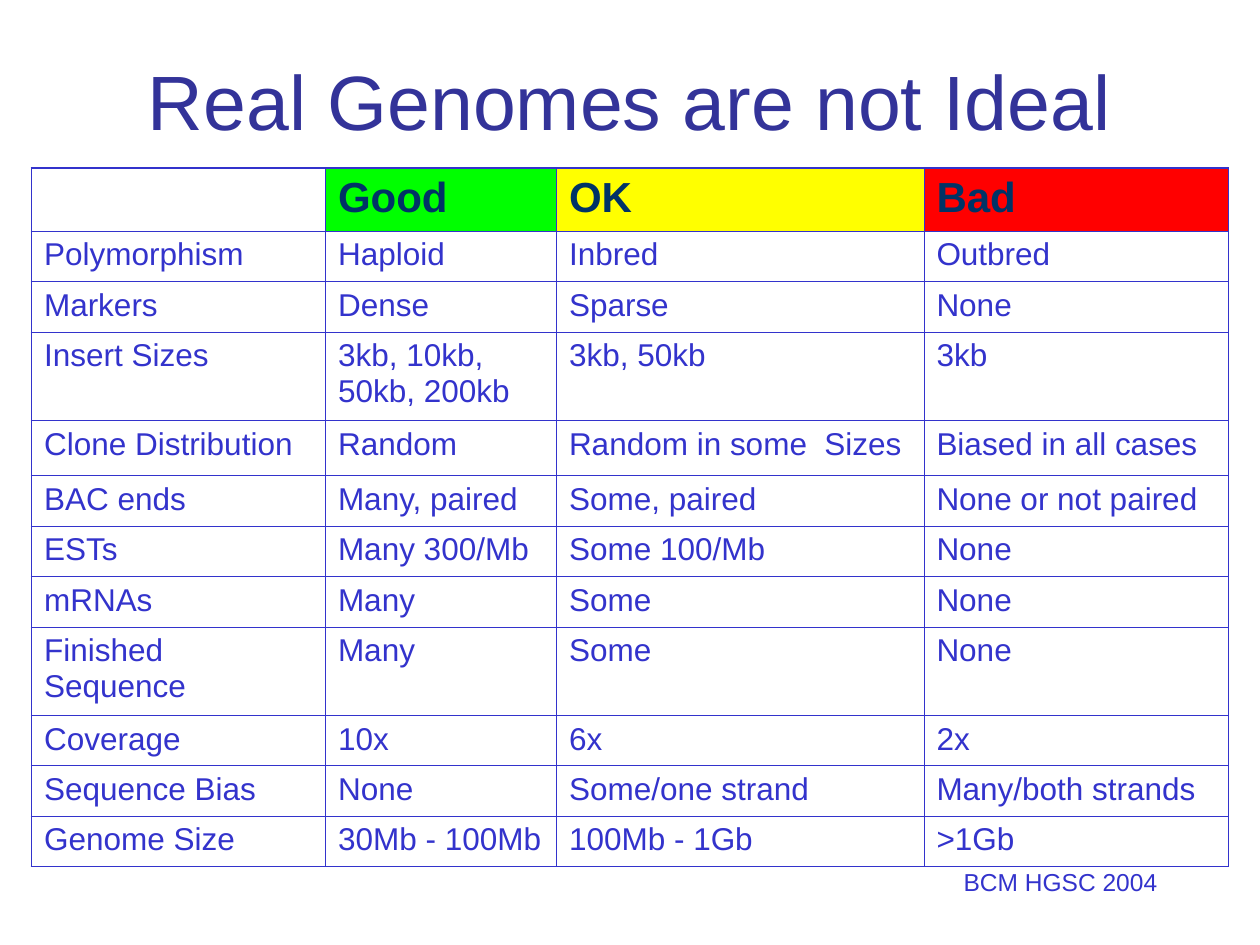
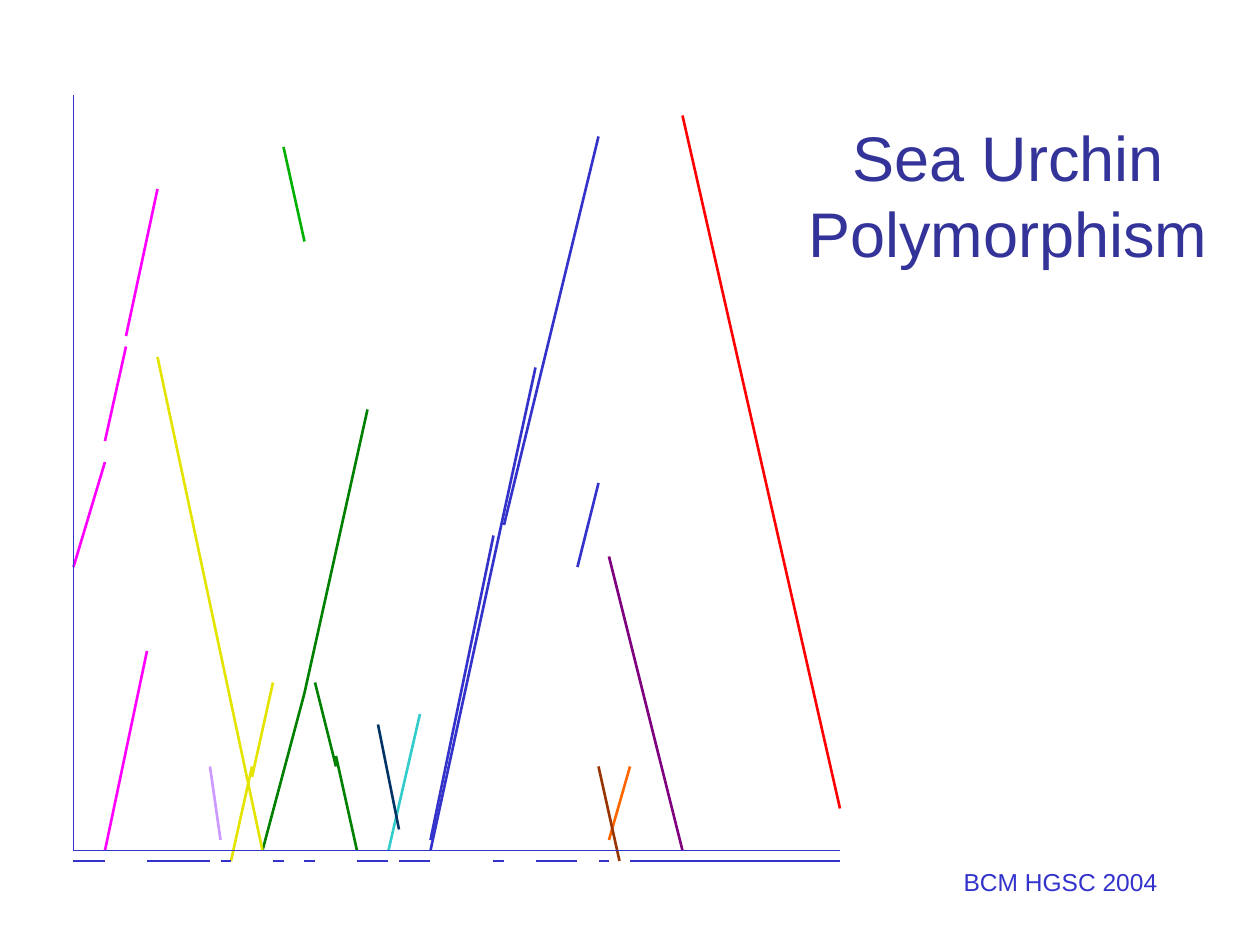
from lxml.etree import SubElement
from pptx import Presentation
from pptx.dml.color import RGBColor
from pptx.enum.shapes import MSO_CONNECTOR
from pptx.enum.text import MSO_ANCHOR, PP_ALIGN
from pptx.oxml.ns import qn
from pptx.util import Inches, Pt

# Every place and length is counted in cells of a 120 x 90 grid
COLS, ROWS = 120, 90
UNIT = Inches(10) // COLS

FONT = "Arial"
TITLE = RGBColor(0x33, 0x33, 0x99)
BLUE = RGBColor(0x33, 0x33, 0xCC)
NAVY = RGBColor(0x00, 0x33, 0x66)
LIME = RGBColor(0x00, 0xFF, 0x00)
YELLOW = RGBColor(0xFF, 0xFF, 0x00)
RED = RGBColor(0xFF, 0x00, 0x00)
MAGENTA = RGBColor(0xFF, 0x00, 0xFF)
MUSTARD = RGBColor(0xE4, 0xE4, 0x00)
GREEN = RGBColor(0x00, 0x80, 0x00)
LEAF = RGBColor(0x00, 0xB0, 0x00)
TEAL = RGBColor(0x33, 0xCC, 0xCC)
ORANGE = RGBColor(0xFF, 0x66, 0x00)
PURPLE = RGBColor(0x80, 0x00, 0x80)
BROWN = RGBColor(0x99, 0x33, 0x00)
LILAC = RGBColor(0xCC, 0x99, 0xFF)

FOOTER = "BCM HGSC 2004"

GRADES = [("", None), ("Good", LIME), ("OK", YELLOW), ("Bad", RED)]
FEATURES = [
    ("Polymorphism", "Haploid", "Inbred", "Outbred"),
    ("Markers", "Dense", "Sparse", "None"),
    ("Insert Sizes", "3kb, 10kb, 50kb, 200kb", "3kb, 50kb", "3kb"),
    ("Clone Distribution", "Random", "Random in some  Sizes", "Biased in all cases"),
    ("BAC ends", "Many, paired", "Some, paired", "None or not paired"),
    ("ESTs", "Many 300/Mb", "Some 100/Mb", "None"),
    ("mRNAs", "Many", "Some", "None"),
    ("Finished Sequence", "Many", "Some", "None"),
    ("Coverage", "10x", "6x", "2x"),
    ("Sequence Bias", "None", "Some/one strand", "Many/both strands"),
    ("Genome Size", "30Mb - 100Mb", "100Mb - 1Gb", ">1Gb"),
]
COL_WIDTHS = [28, 22, 35, 29]
ROW_HEIGHT, HEADER_HEIGHT = 0.4, 0.5
TALL_ROWS = {"Insert Sizes": 0.7, "Finished Sequence": 0.7, "Clone Distribution": 0.44}

LEFT, RIGHT, TOP, BASE = 7, 80, 9, 81
# (colour, [(x1, y1, x2, y2), ...])
MATCHES = [
    (MAGENTA, [(10, 42, 12, 33), (12, 32, 15, 18), (7, 54, 10, 44), (10, 81, 14, 62)]),
    (MUSTARD, [(22, 82, 24, 73), (24, 74, 26, 65)]),
    (GREEN, [(25, 81, 29, 66), (29, 66, 35, 39)]),
    (BLUE, [(48, 50, 57, 13), (41, 81, 51, 35), (41, 80, 47, 51), (55, 54, 57, 46)]),
    (TEAL, [(37, 81, 40, 68)]),
    (ORANGE, [(58, 80, 60, 73)]),
    (PURPLE, [(65, 81, 58, 53)]),
    (RED, [(80, 77, 65, 11)]),
    (BROWN, [(59, 82, 57, 73)]),
    (NAVY, [(38, 79, 36, 69)]),
    (LILAC, [(21, 80, 20, 73)]),
    (GREEN, [(34, 81, 32, 72), (32, 73, 30, 65)]),
    (MUSTARD, [(25, 81, 15, 34)]),
    (LEAF, [(27, 14, 29, 23)]),
]
AXES = [(LEFT, BASE, RIGHT, BASE), (LEFT, TOP, LEFT, BASE)]
UNMATCHED = [(7, 10), (14, 20), (21, 22), (26, 27), (29, 30), (34, 37),
             (38, 41), (47, 48), (51, 55), (57, 58), (60, 80)]


def grid(*cells):
    return [c * UNIT for c in cells]


def style(p, size, color, bold=False):
    for r in p.runs:
        r.font.name, r.font.size, r.font.bold = FONT, Pt(size), bold
        r.font.color.rgb = color


def add_text(s, box, text, size, color, anchor=MSO_ANCHOR.TOP):
    tf = s.shapes.add_textbox(*grid(*box)).text_frame
    tf.word_wrap = True
    tf.vertical_anchor = anchor
    p = tf.paragraphs[0]
    p.text = text
    p.alignment = PP_ALIGN.CENTER
    style(p, size, color)


def add_slide(prs, title, box, size):
    """Blank slide with the shared title style and footer."""
    s = prs.slides.add_slide(prs.slide_layouts[6])
    add_text(s, box, title, size, TITLE, MSO_ANCHOR.MIDDLE)
    add_text(s, (82, 82, 38, 6), FOOTER, 14, BLUE)
    return s


def add_border(cell, side, width):
    ln = SubElement(cell._tc.get_or_add_tcPr(), qn(f"a:ln{side}"), w=str(Pt(width)))
    fill = SubElement(ln, qn("a:solidFill"))
    SubElement(fill, qn("a:srgbClr"), val=str(BLUE))


def add_features(s):
    rows = [[name for name, _ in GRADES], *FEATURES]
    heights = [HEADER_HEIGHT] + [TALL_ROWS.get(f[0], ROW_HEIGHT) for f in FEATURES]
    last_row, last_col = len(rows) - 1, len(GRADES) - 1
    table = s.shapes.add_table(len(rows), len(GRADES), *grid(3, 16, sum(COL_WIDTHS)),
                               Inches(sum(heights))).table
    table.first_row = table.horz_banding = False
    for col, width in zip(table.columns, COL_WIDTHS):
        col.width = width * UNIT
    for i, (row, height) in enumerate(zip(rows, heights)):
        table.rows[i].height = Inches(height)
        for j, text in enumerate(row):
            cell = table.cell(i, j)
            outer = {"L": j == 0, "R": j == last_col, "T": i == 0, "B": i == last_row}
            for side, is_outer in outer.items():
                add_border(cell, side, 1.08 if is_outer else 0.45)
            fill = GRADES[j][1] if i == 0 else None
            if fill is None:
                cell.fill.background()
            else:
                cell.fill.solid()
                cell.fill.fore_color.rgb = fill
            p = cell.text_frame.paragraphs[0]
            p.text = text
            if i == 0:
                style(p, 24, NAVY, bold=True)
            else:
                style(p, 18, BLUE)


def add_line(shapes, ends, color, width):
    line = shapes.add_connector(MSO_CONNECTOR.STRAIGHT, *grid(*ends))
    line.line.color.rgb = color
    line.line.width = Pt(width)
    SubElement(line._element.spPr, qn("a:effectLst"))


def add_match_plot(s):
    shapes = s.shapes.add_group_shape().shapes
    for color, segments in MATCHES:
        for ends in segments:
            add_line(shapes, ends, color, 1.5)
    gaps = [(x1, BASE + 1, x2, BASE + 1) for x1, x2 in UNMATCHED]
    for ends in AXES + gaps:
        add_line(shapes, ends, BLUE, 0.75)


def main():
    prs = Presentation()
    prs.slide_width, prs.slide_height = grid(COLS, ROWS)
    add_features(add_slide(prs, "Real Genomes are not Ideal", (9, 2, 102, 15), 44))
    add_match_plot(add_slide(prs, "Sea Urchin Polymorphism", (75, 8, 42, 21), 36))
    prs.save("out.pptx")


if __name__ == "__main__":
    main()
